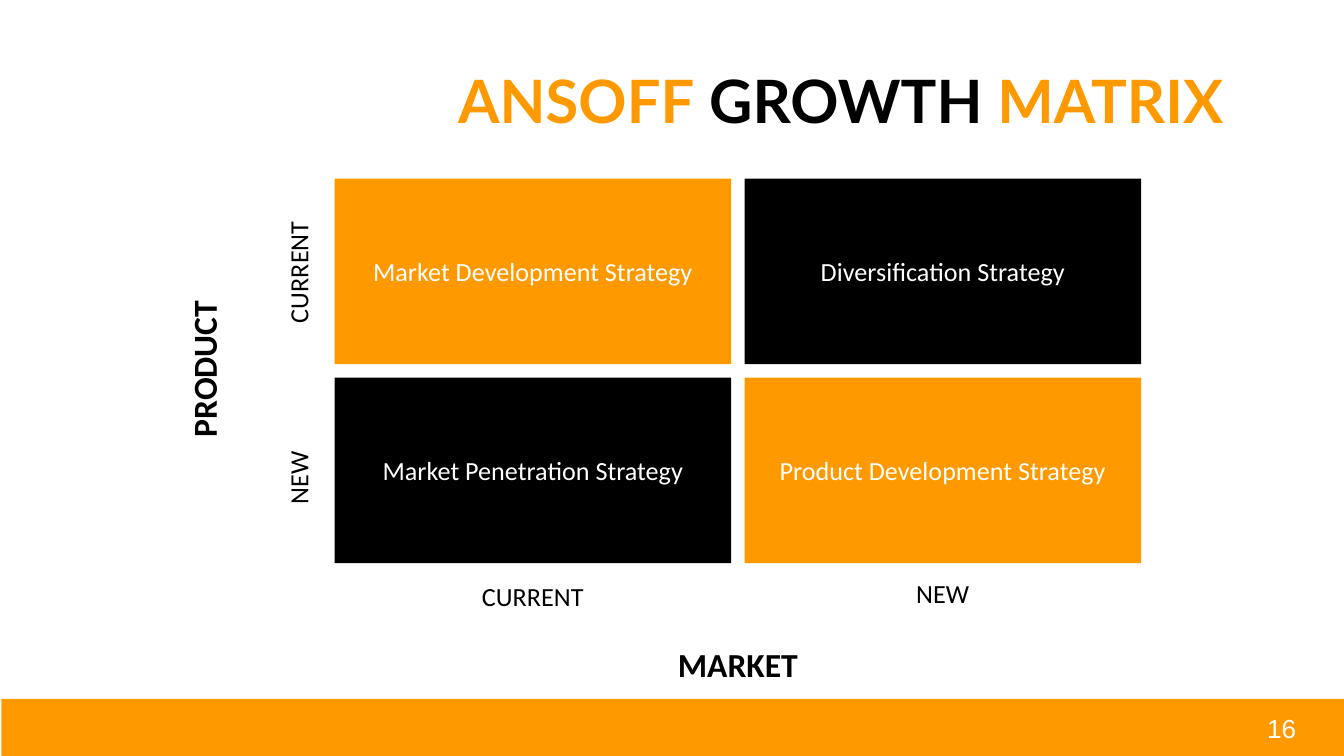
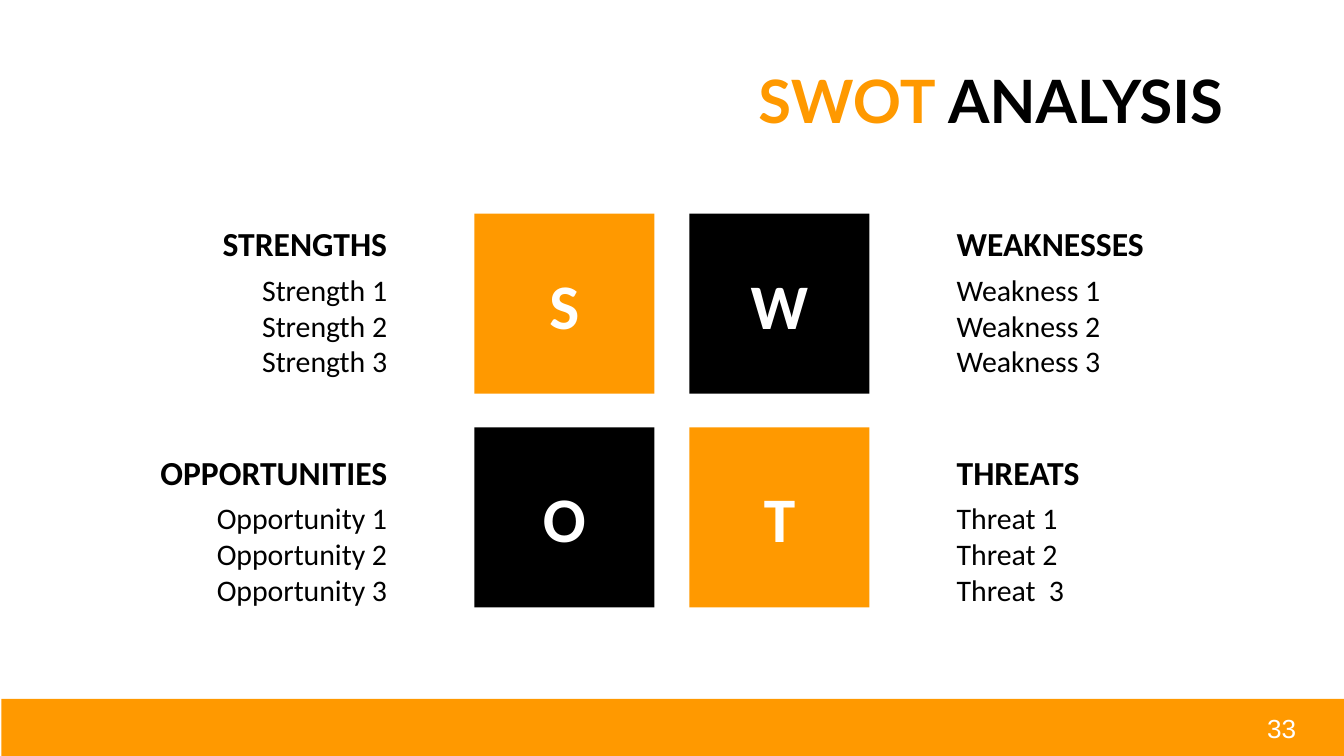
"""Build an Ansoff growth matrix slide and a SWOT analysis slide."""
from dataclasses import dataclass

import pptx
import pptx.util
from pptx.dml.color import RGBColor
from pptx.enum.shapes import MSO_SHAPE
from pptx.enum.text import MSO_ANCHOR, PP_ALIGN
from pptx.util import Inches


@dataclass(frozen=True)
class Theme:
    orange: str = "FF9900"
    black: str = "000000"
    white: str = "FFFFFF"
    title_font: str = "Lato"
    body_font: str = "Calibri"
    number_font: str = "Arial"
    title: int = 32
    letter: int = 34
    heading: int = 18
    item: int = 16
    label: int = 14


T = Theme()
LEFT, CENTER, RIGHT = PP_ALIGN.LEFT, PP_ALIGN.CENTER, PP_ALIGN.RIGHT


def add_text(s, text, at, size=T.label, font=T.body_font, color=T.black, bold=False,
             align=CENTER, fill=None, rotation=0, spacing=None, inset=0.1):
    box = [Inches(v) for v in at]
    if fill:
        sp = s.shapes.add_shape(MSO_SHAPE.RECTANGLE, *box)
        sp.shadow.inherit = False
        sp.fill.solid()
        sp.fill.fore_color.rgb = RGBColor.from_string(fill)
        sp.line.fill.background()
    else:
        sp = s.shapes.add_textbox(*box)
    sp.rotation = rotation
    tf = sp.text_frame
    tf.word_wrap = True
    tf.vertical_anchor = MSO_ANCHOR.MIDDLE if fill else MSO_ANCHOR.TOP
    tf.margin_left = tf.margin_right = Inches(0.1)
    tf.margin_top = tf.margin_bottom = Inches(inset)
    lines = [[(line, color)] for line in text.split("\n")] if isinstance(text, str) else [text]
    for i, runs in enumerate(lines):
        p = tf.add_paragraph() if i else tf.paragraphs[0]
        p.alignment = align
        if spacing:
            p.line_spacing = spacing
        for run_text, run_color in runs:
            r = p.add_run()
            r.text = run_text
            r.font.name = font
            r.font.size = pptx.util.Pt(size)
            r.font.bold = bold
            r.font.color.rgb = RGBColor.from_string(run_color)


def add_slide(prs, title, number):
    s = prs.slides.add_slide(prs.slide_layouts[6])
    band = s.shapes.add_shape(MSO_SHAPE.RECTANGLE, Inches(0.01), Inches(5.2),
                              Inches(10), Inches(0.43))
    band.shadow.inherit = False
    band.fill.solid()
    band.fill.fore_color.rgb = RGBColor.from_string(T.orange)
    band.line.fill.background()
    add_text(s, number, (9.33, 5.25, 0.59, 0.34), font=T.number_font, color=T.white,
             align=LEFT, inset=0.05)
    add_text(s, title, (0.79, 0.48, 8.41, 0.63), size=T.title, font=T.title_font,
             bold=True, align=RIGHT, spacing=0.8)
    return s


prs = pptx.Presentation()
prs.slide_width = Inches(10)
prs.slide_height = prs.slide_width * 9 // 16

s = add_slide(prs, [("ANSOFF", T.orange), (" GROWTH ", T.black), ("MATRIX", T.orange)], "16")
strategies = [["Market Development Strategy", "Diversification Strategy"],
              ["Market Penetration Strategy", "Product Development Strategy"]]
cell_w, cell_h, gap = 2.95, 1.38, 0.1
for row, names in enumerate(strategies):
    for col, name in enumerate(names):
        at = (2.49 + col * (cell_w + gap), 1.33 + row * (cell_h + gap), cell_w, cell_h)
        add_text(s, name, at, color=T.white,
                 fill=T.orange if row == col else T.black)

axis_labels = [
    ("MARKET", (4.59, 4.69, 1.8, 0.47), T.heading, 0),
    ("PRODUCT", (0.6, 2.51, 1.8, 0.47), T.heading, 270),
    ("NEW", (1.67, 3.32, 1.13, 0.47), T.label, 270),
    ("CURRENT", (1.63, 1.79, 1.21, 0.47), T.label, 270),
    ("NEW", (6.45, 4.2, 1.13, 0.36), T.label, 0),
    ("CURRENT", (3.36, 4.22, 1.21, 0.36), T.label, 0),
]
for text, at, size, rotation in axis_labels:
    add_text(s, text, at, size=size, bold=size == T.heading, rotation=rotation)

s = add_slide(prs, [("SWOT", T.orange), (" ANALYSIS", T.black)], "33")
quadrants = [
    [("STRENGTHS", "Strength 1\nStrength 2\nStrength 3"),
     ("WEAKNESSES", "Weakness 1\nWeakness 2\nWeakness 3")],
    [("OPPORTUNITIES", "Opportunity 1\nOpportunity 2\nOpportunity 3"),
     ("THREATS", "Threat 1\nThreat 2\nThreat  3")],
]
side = 1.34
for row, pair in enumerate(quadrants):
    for col, (heading, items) in enumerate(pair):
        add_text(s, heading[0], (3.53 + col * 1.6, 1.59 + row * 1.59, side, side),
                 size=T.letter, color=T.white, bold=True,
                 fill=T.orange if row == col else T.black)
        x, y = (0.63, 7.02)[col], 1.56 + row * 1.7
        align = (RIGHT, LEFT)[col]
        add_text(s, heading, (x, y, 2.35, 0.55), size=T.heading, bold=True, align=align)
        add_text(s, items, (x, y + 0.36, 2.35, 0.93), size=T.item, align=align)

prs.save("out.pptx")
